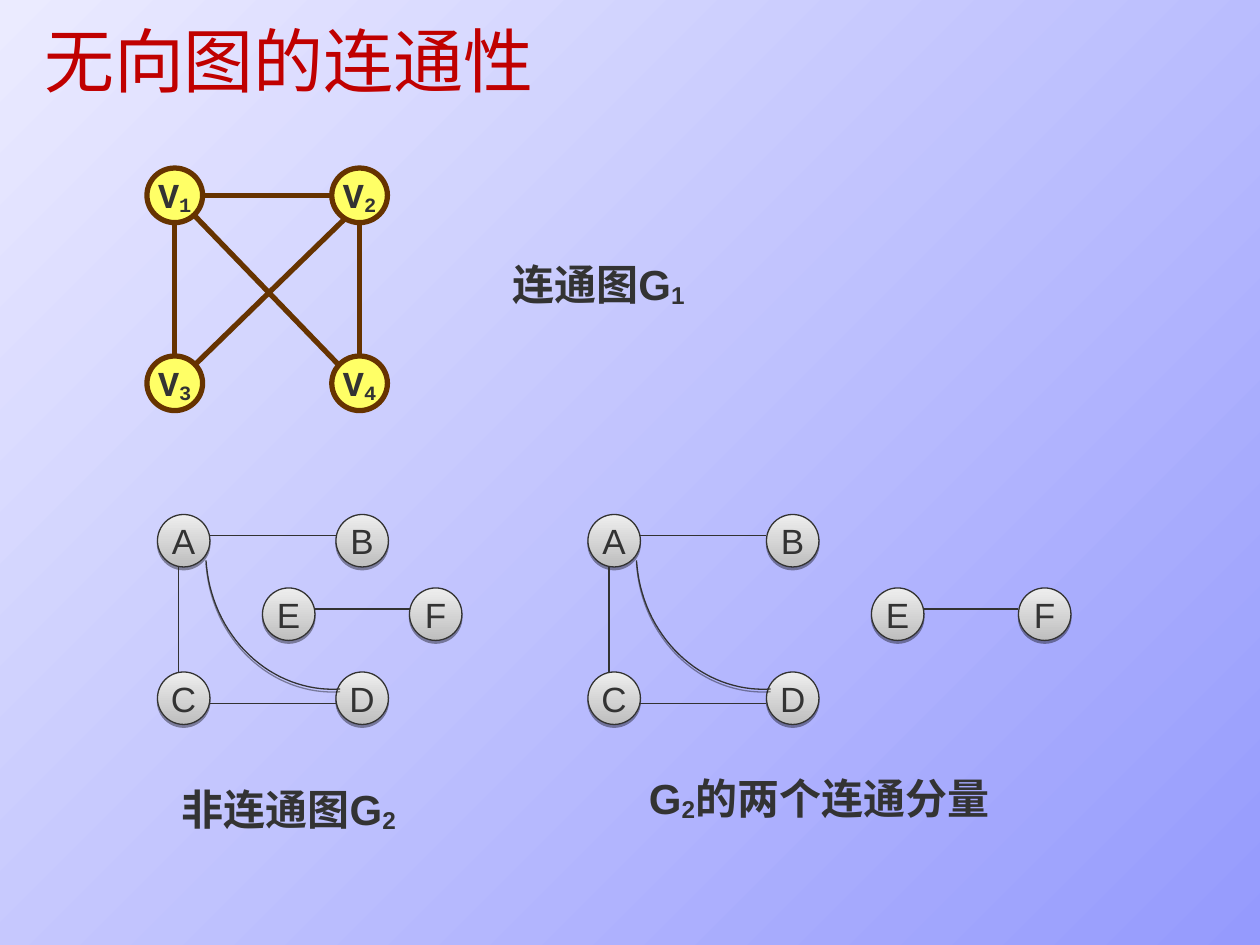
from dataclasses import dataclass
from math import cos, pi, sin

from lxml import etree
from pptx import Presentation
from pptx.dml.color import RGBColor
from pptx.enum.shapes import MSO_CONNECTOR, MSO_SHAPE
from pptx.enum.text import MSO_ANCHOR, MSO_AUTO_SIZE, PP_ALIGN
from pptx.oxml.ns import qn
from pptx.util import Emu, Inches, Pt

OVAL, LINE = MSO_SHAPE.OVAL, MSO_CONNECTOR.STRAIGHT
MIDDLE, FIXED, GROW = MSO_ANCHOR.MIDDLE, MSO_AUTO_SIZE.NONE, MSO_AUTO_SIZE.SHAPE_TO_FIT_TEXT
LEFT, CENTER = PP_ALIGN.LEFT, PP_ALIGN.CENTER
UNIT = Inches(1) / 12


@dataclass(frozen=True)
class Theme:
    """Colours, fonts and type sizes of the slide."""
    sky: tuple = ("EBEBFF", "959AFD")
    steel: tuple = ("BEBEBE", "EEEEEE")
    yellow: str = "FFFF66"
    brown: str = "663300"
    edge: str = "323232"
    ink: str = "333333"
    red: str = "C00000"
    sans: str = "Arial"
    serif: str = "Times New Roman"
    mono: str = "Courier New"
    head: int = 40
    note: int = 24
    label: int = 20


THEME = Theme()


def grid(*cells):
    """Turn grid columns and rows into lengths."""
    return [Emu(round(cell * UNIT)) for cell in cells]


def rgb(code):
    """Read a hex colour."""
    return RGBColor.from_string(code)


def blend(fill, codes, angle):
    """Give a fill a two-stop gradient."""
    fill.gradient()
    fill.gradient_angle = angle
    for stop, code in zip(fill.gradient_stops, codes):
        stop.color.rgb = rgb(code)


def stroke(shape, code, width):
    """Set the colour and width of a line."""
    shape.line.color.rgb = rgb(code)
    shape.line.width = Pt(width)


def shade(shape):
    """Drop a short, faint shadow below a shape."""
    shape.shadow.inherit = False
    effects = shape._element.spPr.find(qn("a:effectLst"))
    drop = etree.SubElement(effects, qn("a:outerShdw"), blurRad="0",
                            dist="20000", dir="5400000", rotWithShape="0")
    tint = etree.SubElement(drop, qn("a:srgbClr"), val="000000")
    etree.SubElement(tint, qn("a:alpha"), val="38000")


def write(frame, parts, face, size, bold=False, code=THEME.ink, align=CENTER, drop=-10):
    """Write text in which every second part is a subscript."""
    para = frame.paragraphs[0]
    para.alignment = align
    font = para.font
    font.name, font.size, font.bold = face, Pt(size), bold
    font.color.rgb = rgb(code)
    for rank, part in enumerate(parts):
        run = para.add_run()
        run.text = part
        if rank % 2:
            run._r.get_or_add_rPr().set("baseline", str(drop * 1000))


def join(shapes, start, end, code, width):
    """Draw a straight edge between two grid points."""
    edge = shapes.add_connector(LINE, *grid(*start, *end))
    stroke(edge, code, width)
    etree.SubElement(edge._element.spPr, qn("a:effectLst"))


def disc(shapes, left, top, wide, high):
    """Add a round node with centred, unwrapped text."""
    node = shapes.add_shape(OVAL, *grid(left, top, wide, high))
    node.text_frame.word_wrap = False
    node.text_frame.vertical_anchor = MIDDLE
    return node


def square(slide, left, top):
    """Draw the connected graph with its two crossing edges."""
    shapes = slide.shapes.add_group_shape().shapes
    wide, high, step, drop = 5.3, 5.2, 17.6, 17.9
    spots = {"1": (left, top), "2": (left + step, top),
             "3": (left, top + drop), "4": (left + step, top + drop)}
    down = (wide / 2, high), (wide / 2, 0)
    edges = [("1", "3", *down), ("2", "4", *down),
             ("1", "2", (wide, high / 2), (0, high / 2)),
             ("1", "4", (4.4, 4.4), (0.8, 1)),
             ("3", "2", (4.4, 1), (1.8, 4.3))]
    for first, last, out, into in edges:
        ends = [(spots[key][0] + dx, spots[key][1] + dy)
                for key, (dx, dy) in ((first, out), (last, into))]
        join(shapes, *ends, THEME.brown, 3)
    for key, spot in spots.items():
        node = disc(shapes, *spot, wide, high)
        node.shadow.inherit = False
        node.fill.solid()
        node.fill.fore_color.rgb = rgb(THEME.yellow)
        stroke(node, THEME.brown, 3)
        frame = node.text_frame
        frame.margin_left = frame.margin_right = frame.margin_top = frame.margin_bottom = 0
        write(frame, ("V", key), THEME.mono, THEME.label, True, drop=-12)


def bow(shapes, left, top, wide, high, steps=32):
    """Draw a quarter ellipse turned towards the lower left."""
    turns = [pi / 2 * step / steps for step in range(steps + 1)]
    dots = [grid(left + wide * sin(turn), top + high * (1 - cos(turn))) for turn in turns]
    pen = shapes.build_freeform(*dots[0])
    pen.add_line_segments(dots[1:], close=False)
    curve = pen.convert_to_shape()
    curve.rotation = 176.5
    curve.fill.background()
    stroke(curve, THEME.edge, 0.75)
    shade(curve)


def parted(slide, left, top, pair):
    """Draw the graph of two parts, with the E-F part starting at column pair."""
    shapes = slide.shapes.add_group_shape().shapes
    size, step, drop, row = 5, 17, 15, 7
    spots = {"A": (0, 0), "B": (step, 0), "C": (0, drop), "D": (step, drop),
             "E": (pair, row), "F": (pair + 14, row)}
    for name, (col, line) in spots.items():
        node = disc(shapes, left + col, top + line, size, size)
        blend(node.fill, THEME.steel, 90)
        stroke(node, THEME.edge, 0.75)
        shade(node)
        write(node.text_frame, name, THEME.sans, THEME.label)
    edges = [((size, 2), (step, 2)), ((2, size), (2, drop)),
             ((size, drop + 3), (step, drop + 3)),
             ((pair + size, row + 2), (pair + 14, row + 2))]
    for ends in edges:
        join(shapes, *((left + col, top + line) for col, line in ends), THEME.edge, 0.75)
    bow(shapes, left + size, top + 4, step - size, 13)


def caption(slide, box, parts, inset=0.1):
    """Name a graph in bold type."""
    frame = slide.shapes.add_textbox(*grid(*box)).text_frame
    frame.word_wrap = True
    frame.auto_size = GROW
    frame.margin_left = frame.margin_right = Inches(inset)
    write(frame, parts, THEME.sans, THEME.note, True)


def heading(slide, box, text):
    """Place and format the title."""
    title = slide.shapes.title
    title.left, title.top, title.width, title.height = grid(*box)
    frame = title.text_frame
    frame.auto_size = FIXED
    frame.vertical_anchor = MIDDLE
    write(frame, (text,), THEME.serif, THEME.head, code=THEME.red, align=LEFT)


def main():
    """Build the slide and save it."""
    deck = Presentation()
    deck.slide_width, deck.slide_height = grid(120, 90)
    slide = deck.slides.add_slide(deck.slide_layouts[5])
    blend(slide.background.fill, THEME.sky, 315)
    heading(slide, (3, 0, 86, 11.4), "无向图的连通性")
    square(slide, 14, 16)
    caption(slide, (45, 24, 24, 6.1), ("连通图G", "1"))
    parted(slide, 15, 49, 10)
    caption(slide, (14, 74, 27, 6.1), ("非连通图G", "2"))
    parted(slide, 56, 49, 27)
    caption(slide, (61, 73, 34, 6.1), ("G", "2", "的两个连通分量"), 0)
    deck.save("out.pptx")


if __name__ == "__main__":
    main()
